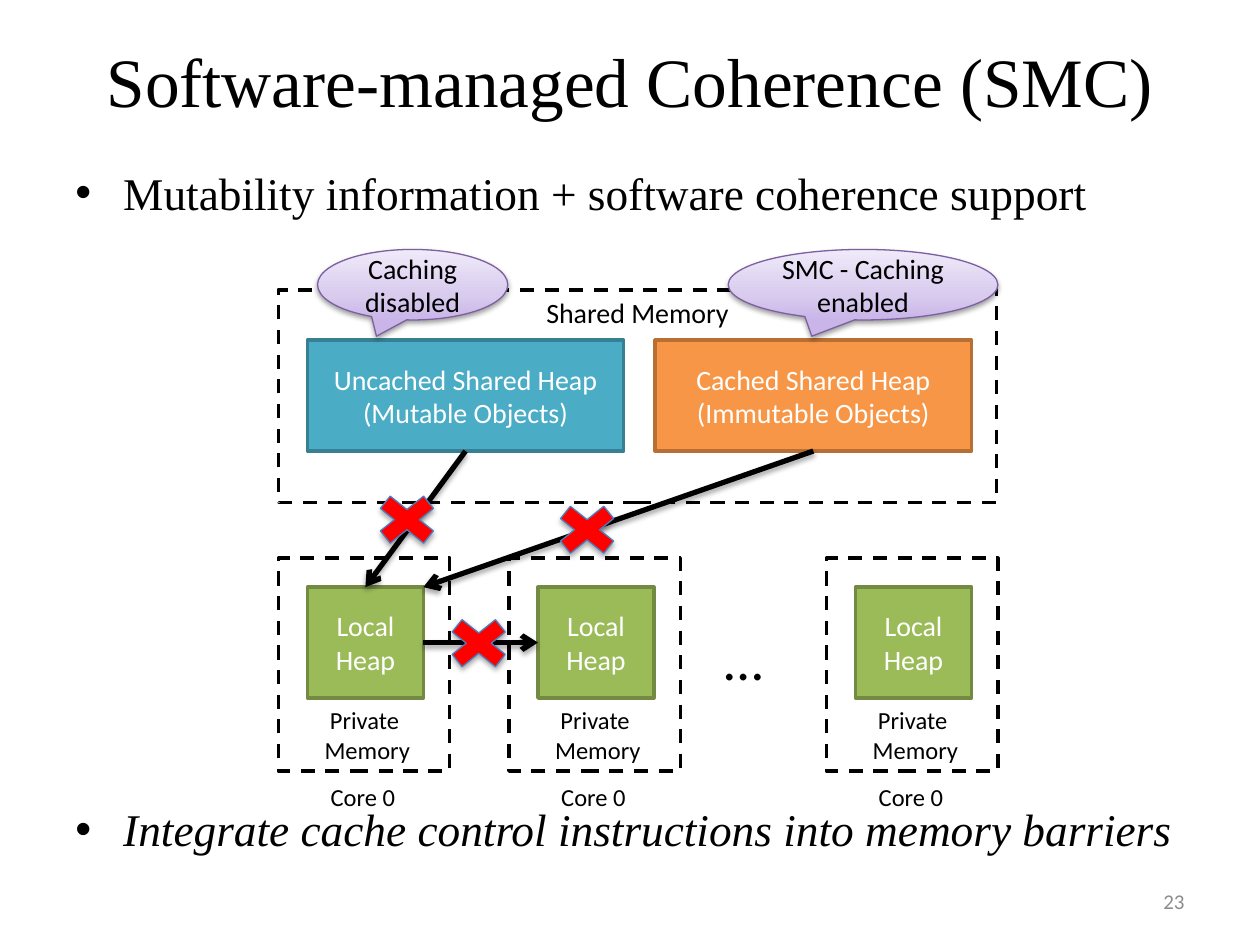
from lxml import etree
from pptx import Presentation
from pptx import util as u
from pptx.dml import color
from pptx.enum import dml, shapes, text
from pptx.oxml import ns

COLORS = {
    "ink": "000000", "paper": "FFFFFF", "number": "8C8C8C",
    "local": "9BBB59", "local_edge": "738A42",
    "uncached": "4BACC6", "uncached_edge": "377F92",
    "cached": "F79646", "cached_edge": "B76F34",
    "cross": "FF0000", "cross_edge": "4B7EBC", "callout_edge": "7D60A0",
    "callout_low": "C9B5E8", "callout_mid": "D8CBEE", "callout_high": "F0EAF9",
}
CALLOUT_STOPS = [(0, "callout_low"), (35, "callout_mid"), (100, "callout_high")]
SERIF, SANS = "Times New Roman", "Calibri"
MIDDLE = {"vertical_anchor": text.MSO_ANCHOR.MIDDLE}
TOP = {"vertical_anchor": text.MSO_ANCHOR.TOP}
NO_WRAP = {"word_wrap": False, "auto_size": text.MSO_AUTO_SIZE.SHAPE_TO_FIT_TEXT}
CENTER, LEFT, RIGHT = text.PP_ALIGN.CENTER, text.PP_ALIGN.LEFT, text.PP_ALIGN.RIGHT

COLUMNS, ROWS = 100, 75
CORE_COLUMNS = [22.1, 40.4, 65.6]
HEAP_INSET = 2.3
HEAP_TOP, HEAP_WIDTH, HEAP_HEIGHT = 46.6, 9.2, 8.8
SHARED_TOP, SHARED_WIDTH = 27, 25.1


def grid(*cells):
    return [u.Inches(cell / 10) for cell in cells]


def rgb(name):
    return color.RGBColor.from_string(COLORS[name])


def apply(target, values):
    for name, value in values.items():
        setattr(target, name, value)


def add_xml(parent, tag, **attributes):
    return etree.SubElement(parent, ns.qn(tag), **attributes)


def write(frame, lines, size, ink="ink", face=SANS, align=CENTER, layout=MIDDLE, italic=None):
    apply(frame, {"word_wrap": True, **layout})
    for index, line in enumerate(lines):
        paragraph = frame.paragraphs[0] if index == 0 else frame.add_paragraph()
        paragraph.alignment = align
        run = paragraph.add_run()
        run.text = line
        apply(run.font, {"size": u.Pt(size), "name": face, "italic": italic})
        run.font.color.rgb = rgb(ink)


def add_label(slide, place, lines, size, **style):
    label = slide.shapes.add_textbox(*grid(*place))
    write(label.text_frame, lines, size, **style)
    return label


def add_bullet(slide, top, line, italic=None):
    label = add_label(slide, (5, top, 90, 6), [line], 25.9, face=SERIF,
                      align=LEFT, layout=TOP, italic=italic)
    properties = label.text_frame.paragraphs[0]._p.get_or_add_pPr()
    properties.set("marL", str(u.Inches(0.38)))
    properties.set("indent", str(-u.Inches(0.38)))
    add_xml(properties, "a:buFont", typeface="Arial")
    add_xml(properties, "a:buChar", char="•")


def add_form(slide, kind, place, edge, width, fill=None):
    form = slide.shapes.add_shape(kind, *grid(*place))
    form.shadow.inherit = False
    form.line.color.rgb = rgb(edge)
    form.line.width = u.Pt(width)
    if fill:
        form.fill.solid()
        form.fill.fore_color.rgb = rgb(fill)
    return form


def add_memory(slide, place):
    memory = add_form(slide, shapes.MSO_SHAPE.RECTANGLE, place, "ink", 2, "paper")
    memory.line.dash_style = dml.MSO_LINE.DASH
    return memory


def add_heap(slide, place, lines, fill):
    heap = add_form(slide, shapes.MSO_SHAPE.RECTANGLE, place, fill + "_edge", 2, fill)
    write(heap.text_frame, lines, 16, "paper")


def cast_shadow(properties, alpha, distance):
    effects = properties.find(ns.qn("a:effectLst"))
    if effects is None:
        effects = add_xml(properties, "a:effectLst")
    shadow = add_xml(effects, "a:outerShdw", blurRad=str(u.Pt(3.1)), dist=str(u.Pt(distance)),
                     dir="5400000", rotWithShape="0")
    shade = add_xml(shadow, "a:srgbClr", val=COLORS["ink"])
    add_xml(shade, "a:alpha", val=str(alpha * 1000))


def add_blocked_arrow(slide, start, end, cross_corner):
    arrow = slide.shapes.add_connector(shapes.MSO_CONNECTOR.STRAIGHT, *grid(*start, *end))
    arrow.line.color.rgb = rgb("ink")
    arrow.line.width = u.Pt(3)
    add_xml(arrow.line._get_or_add_ln(), "a:tailEnd", type="arrow")
    cast_shadow(arrow._element.spPr, 35, 1.8)
    cross = add_form(slide, shapes.MSO_SHAPE.MATH_MULTIPLY, (*cross_corner, 6.6, 5.3),
                     "cross_edge", 0.75, "cross")
    cast_shadow(cross._element.spPr, 35, 1.8)


def add_callout(slide, left, width, line):
    callout = add_form(slide, shapes.MSO_SHAPE.OVAL_CALLOUT, (left, 19.8, width, 5.6),
                       "callout_edge", 0.75)
    callout.adjustments[0], callout.adjustments[1] = -0.19, 0.73
    callout.fill.gradient()
    callout.fill.gradient_angle = 90
    properties = callout._element.spPr
    stops = properties.find(ns.qn("a:gradFill")).find(ns.qn("a:gsLst"))
    for stop in list(stops):
        stops.remove(stop)
    for share, name in CALLOUT_STOPS:
        stop = add_xml(stops, "a:gs", pos=str(share * 1000))
        add_xml(stop, "a:srgbClr", val=COLORS[name])
    cast_shadow(properties, 38, 1.6)
    write(callout.text_frame, [line], 16)


def add_core(slide, left):
    add_memory(slide, (left, 44.3, 13.6, 16.9))
    add_label(slide, (left + 3.1, 61.6, 7.2, 3.4), ["Core 0"], 14, layout=NO_WRAP)
    add_heap(slide, (left + HEAP_INSET, HEAP_TOP, HEAP_WIDTH, HEAP_HEIGHT),
             ["Local Heap"], "local")
    add_label(slide, (left + 2.6, 55.5, 8.9, 5.7), ["Private ", "Memory"], 14, layout=NO_WRAP)


def main():
    deck = Presentation()
    deck.slide_width, deck.slide_height = grid(COLUMNS, ROWS)
    slide = deck.slides.add_slide(deck.slide_layouts[6])

    add_label(slide, (5, 0.1, 90, 12.5), ["Software-managed Coherence (SMC)"], 39.6, face=SERIF)
    add_bullet(slide, 12.6, "Mutability information + software coherence support")
    add_bullet(slide, 63.1, "Integrate cache control instructions into memory barriers", True)
    add_label(slide, (71.7, 69.5, 23.3, 4), ["23"], 12, ink="number", align=RIGHT)

    for left in CORE_COLUMNS:
        add_core(slide, left)
    add_label(slide, (56.5, 49.1, 5.1, 6.4), ["…"], 32, align=LEFT, layout=NO_WRAP)

    shared = add_memory(slide, (CORE_COLUMNS[0], 23, 57, 16.9))
    write(shared.text_frame, ["Shared Memory"], 16, layout=TOP)
    first_heap, second_heap = [left + HEAP_INSET for left in CORE_COLUMNS[:2]]
    cached_left = 52
    add_heap(slide, (first_heap, SHARED_TOP, SHARED_WIDTH, HEAP_HEIGHT),
             ["Uncached Shared Heap", "(Mutable Objects)"], "uncached")
    add_heap(slide, (cached_left, SHARED_TOP, SHARED_WIDTH, HEAP_HEIGHT),
             ["Cached Shared Heap", "(Immutable Objects)"], "cached")

    shared_bottom = SHARED_TOP + HEAP_HEIGHT
    heap_middle = HEAP_TOP + HEAP_HEIGHT / 2
    heap_right = first_heap + HEAP_WIDTH
    add_blocked_arrow(slide, (heap_right, heap_middle), (second_heap, heap_middle), (34.7, 48.4))
    add_blocked_arrow(slide, (first_heap + SHARED_WIDTH / 2, shared_bottom),
                      (first_heap + HEAP_WIDTH / 2, HEAP_TOP), (29, 38.6))
    add_blocked_arrow(slide, (cached_left + SHARED_WIDTH / 2, shared_bottom),
                      (heap_right, HEAP_TOP), (43.3, 39.4))

    add_callout(slide, 25.2, 15.1, "Caching disabled")
    add_callout(slide, 57.8, 21.4, "SMC - Caching enabled")
    deck.save("out.pptx")


if __name__ == "__main__":
    main()
